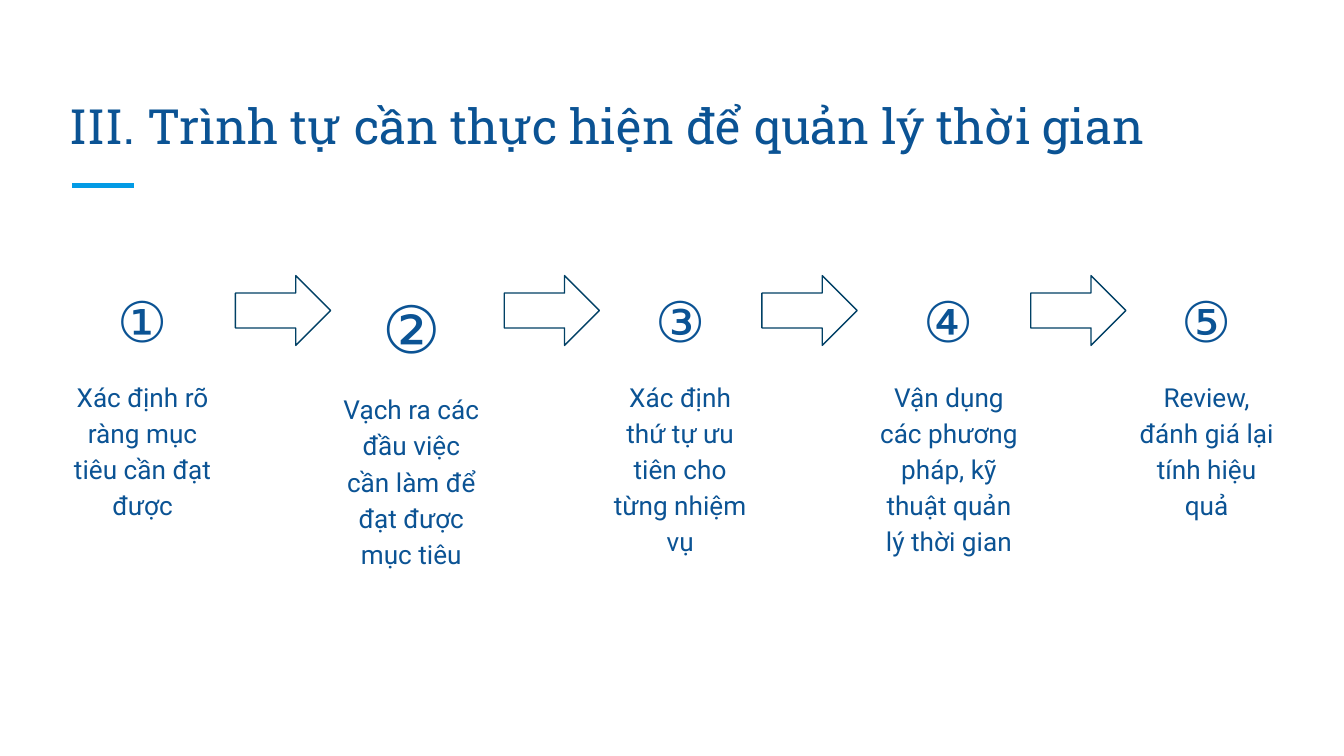
from dataclasses import dataclass

from lxml import etree
from pptx import Presentation
from pptx import util as u
from pptx.dml.color import RGBColor
from pptx.enum import shapes, text
from pptx.oxml.ns import qn
from pptx.slide import Slide
from pptx.text.text import TextFrame

TEXT_BLUE = RGBColor(0x0B, 0x53, 0x94)
ACCENT_BLUE = RGBColor(0x03, 0x9B, 0xE5)
OUTLINE_NAVY = RGBColor(0x00, 0x40, 0x65)
WHITE = RGBColor(0xFF, 0xFF, 0xFF)

LEFT_EDGE = 1.07
STEP_TOP = 4.98
STEP_WIDTH = 3.25
ARROW_TOP = 5.21


@dataclass
class Step:
    left: float
    numeral: str
    description: str
    numeral_size: int = 30
    height: float = 9.3


STEPS = [
    Step(LEFT_EDGE, "①", "Xác định rõ ràng mục tiêu cần đạt được"),
    Step(6.15, "②", "Vạch ra các đầu việc cần làm để đạt được mục tiêu", 35, 8.56),
    Step(11.23, "③", "Xác định thứ tự ưu tiên cho từng nhiệm vụ"),
    Step(16.31, "④", "Vận dụng các phương pháp, kỹ thuật quản lý thời gian"),
    Step(21.18, "⑤", "Review, đánh giá lại tính hiệu quả"),
]
ARROW_LEFTS = [4.45, 9.53, 14.4, 19.48]


def add_text_frame(slide: Slide, left: float, top: float,
                   width: float, height: float) -> TextFrame:
    box = slide.shapes.add_textbox(u.Cm(left), u.Cm(top), u.Cm(width), u.Cm(height))
    frame = box.text_frame
    frame.word_wrap = True
    frame.margin_left = frame.margin_right = u.Cm(0.25)
    frame.margin_top = frame.margin_bottom = u.Cm(0.25)
    return frame


def add_title(slide: Slide, title: str) -> None:
    frame = add_text_frame(slide, LEFT_EDGE, 1.27, 23.24, 1.9)
    frame.vertical_anchor = text.MSO_ANCHOR.BOTTOM
    paragraph = frame.paragraphs[0]
    paragraph.text = title
    paragraph.font.name = "Roboto Slab"
    paragraph.font.size = u.Pt(26)
    paragraph.font.color.rgb = TEXT_BLUE


def add_accent_line(slide: Slide) -> None:
    line = slide.shapes.add_connector(
        shapes.MSO_CONNECTOR.STRAIGHT, u.Cm(1.37), u.Cm(3.51), u.Cm(2.54), u.Cm(3.51))
    line.line.color.rgb = ACCENT_BLUE
    line.line.width = u.Pt(3)
    etree.SubElement(line.element.spPr, qn("a:effectLst"))


def add_step(slide: Slide, step: Step) -> None:
    frame = add_text_frame(slide, step.left, STEP_TOP, STEP_WIDTH, step.height)
    numeral = frame.paragraphs[0]
    description = frame.add_paragraph()
    description.space_before = u.Pt(12)
    for paragraph, words, size in (
        (numeral, step.numeral, step.numeral_size),
        (description, step.description, 14),
    ):
        paragraph.text = words
        paragraph.alignment = text.PP_ALIGN.CENTER
        paragraph.line_spacing = 1.15
        paragraph.font.name = "Roboto"
        paragraph.font.size = u.Pt(size)
        paragraph.font.color.rgb = TEXT_BLUE


def add_arrow(slide: Slide, left: float) -> None:
    arrow = slide.shapes.add_shape(
        shapes.MSO_SHAPE.RIGHT_ARROW, u.Cm(left), u.Cm(ARROW_TOP), u.Cm(1.8), u.Cm(1.32))
    arrow.shadow.inherit = False
    arrow.fill.solid()
    arrow.fill.fore_color.rgb = WHITE
    arrow.line.color.rgb = OUTLINE_NAVY
    arrow.line.width = u.Pt(0.75)


presentation = Presentation()
presentation.slide_width = u.Cm(25.4)
presentation.slide_height = u.Cm(14.29)
slide = presentation.slides.add_slide(presentation.slide_layouts[6])

# Heading
add_accent_line(slide)
add_title(slide, "III. Trình tự cần thực hiện để quản lý thời gian")

# Steps and the arrows between them
for step in STEPS:
    add_step(slide, step)
for arrow_left in ARROW_LEFTS:
    add_arrow(slide, arrow_left)

presentation.save("out.pptx")
